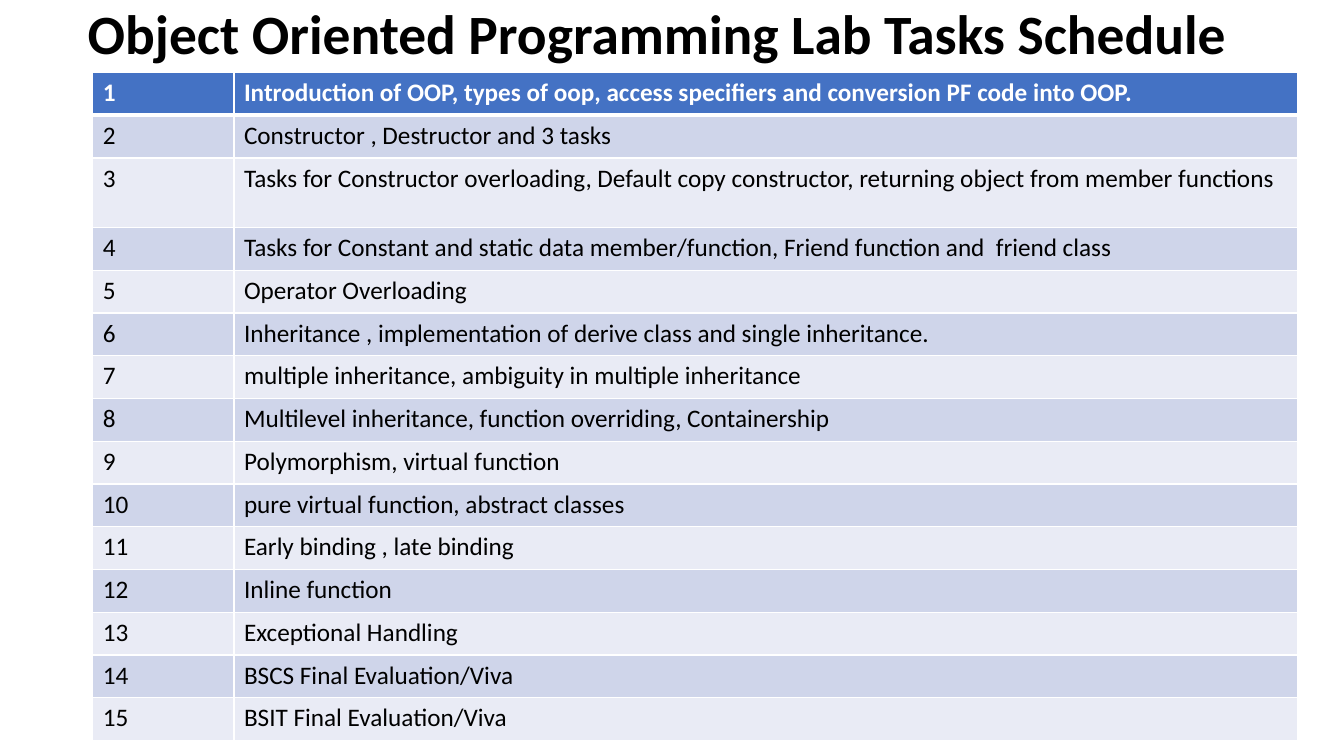
"""Build the lab task schedule slide for an object oriented programming course."""
from lxml import etree
from pptx import Presentation
from pptx.dml.color import RGBColor
from pptx.enum.text import MSO_ANCHOR, MSO_AUTO_SIZE, PP_ALIGN
from pptx.oxml.ns import qn
from pptx.util import Inches, Pt

BLACK = RGBColor(0x00, 0x00, 0x00)
WHITE = RGBColor(0xFF, 0xFF, 0xFF)
BLUE = RGBColor(0x44, 0x72, 0xC4)
BAND_DARK = RGBColor(0xCF, 0xD5, 0xEA)
BAND_LIGHT = RGBColor(0xE9, 0xEB, 0xF5)

TASKS = [
    "Introduction of OOP, types of oop, access specifiers and conversion PF code into OOP.",
    "Constructor , Destructor and 3 tasks",
    "Tasks for Constructor overloading, Default copy constructor, "
    "returning object from member functions ",
    "Tasks for Constant and static data member/function, Friend function and  friend class",
    "Operator Overloading ",
    "Inheritance , implementation of derive class and single inheritance.",
    "multiple inheritance, ambiguity in multiple inheritance",
    "Multilevel inheritance, function overriding, Containership",
    "Polymorphism, virtual function",
    "pure virtual function, abstract classes",
    "Early binding , late binding",
    "Inline function",
    "Exceptional Handling",
    "BSCS Final Evaluation/Viva",
    "BSIT Final Evaluation/Viva",
]
TALL_ROW = 2
TABLE_HEIGHT = Inches(6.63)
TALL_HEIGHT = Inches(0.69)


def add_run(p, text, size, color, bold):
    r = p.add_run()
    r.text = text
    r.font.name = "Calibri"
    r.font.size = Pt(size)
    r.font.bold = bold
    r.font.color.rgb = color


def set_borders(cell, bottom):
    tc_pr = cell._tc.get_or_add_tcPr()
    widths = {"a:lnL": 1, "a:lnR": 1, "a:lnT": 1, "a:lnB": bottom}
    for i, (tag, width) in enumerate(widths.items()):
        ln = etree.Element(qn(tag), w=str(Pt(width)))
        fill = etree.SubElement(ln, qn("a:solidFill"))
        etree.SubElement(fill, qn("a:srgbClr"), val=str(WHITE))
        tc_pr.insert(i, ln)


prs = Presentation()
prs.slide_width = Inches(13.33)
prs.slide_height = Inches(7.5)
s = prs.slides.add_slide(prs.slide_layouts[5])

title = s.shapes.title
title.left, title.top = Inches(0.77), Inches(0.15)
title.width, title.height = Inches(11.5), Inches(0.43)
tf = title.text_frame
tf.word_wrap = True
tf.auto_size = MSO_AUTO_SIZE.NONE
tf.vertical_anchor = MSO_ANCHOR.MIDDLE
p = tf.paragraphs[0]
p.alignment = PP_ALIGN.LEFT
p.line_spacing = 0.9
add_run(p, "Object Oriented Programming Lab Tasks Schedule", 39.6, BLACK, True)

table = s.shapes.add_table(
    len(TASKS), 2, Inches(0.92), Inches(0.72), Inches(11.95), TABLE_HEIGHT
).table
table.columns[0].width = Inches(1.4)
table.columns[1].width = Inches(10.55)
row_height = (TABLE_HEIGHT - TALL_HEIGHT) // (len(TASKS) - 1)

for i, task in enumerate(TASKS):
    header = i == 0
    table.rows[i].height = TALL_HEIGHT if i == TALL_ROW else row_height
    band = BLUE if header else BAND_DARK if i % 2 else BAND_LIGHT
    for j, text in enumerate((str(i + 1), task)):
        cell = table.cell(i, j)
        cell.fill.solid()
        cell.fill.fore_color.rgb = band
        set_borders(cell, 3 if header else 1)
        add_run(cell.text_frame.paragraphs[0], text, 18, WHITE if header else BLACK, header)

prs.save("out.pptx")
